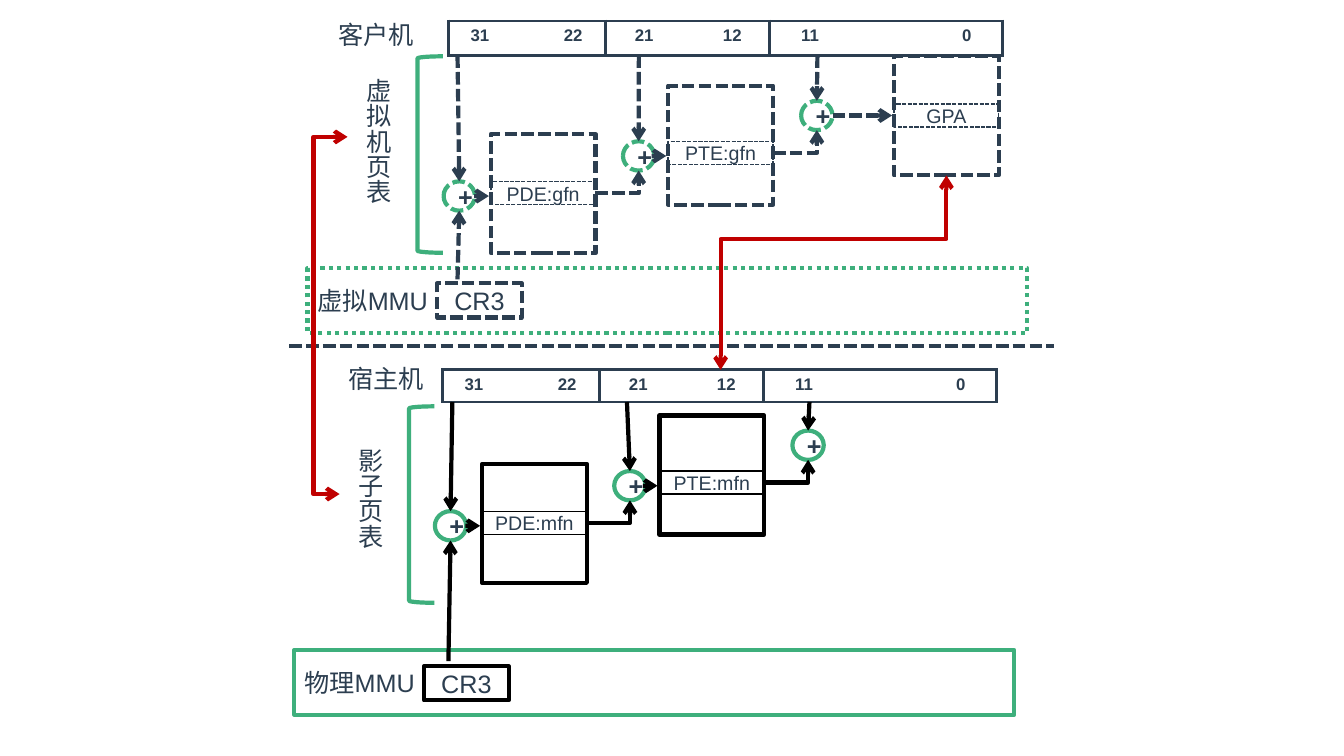
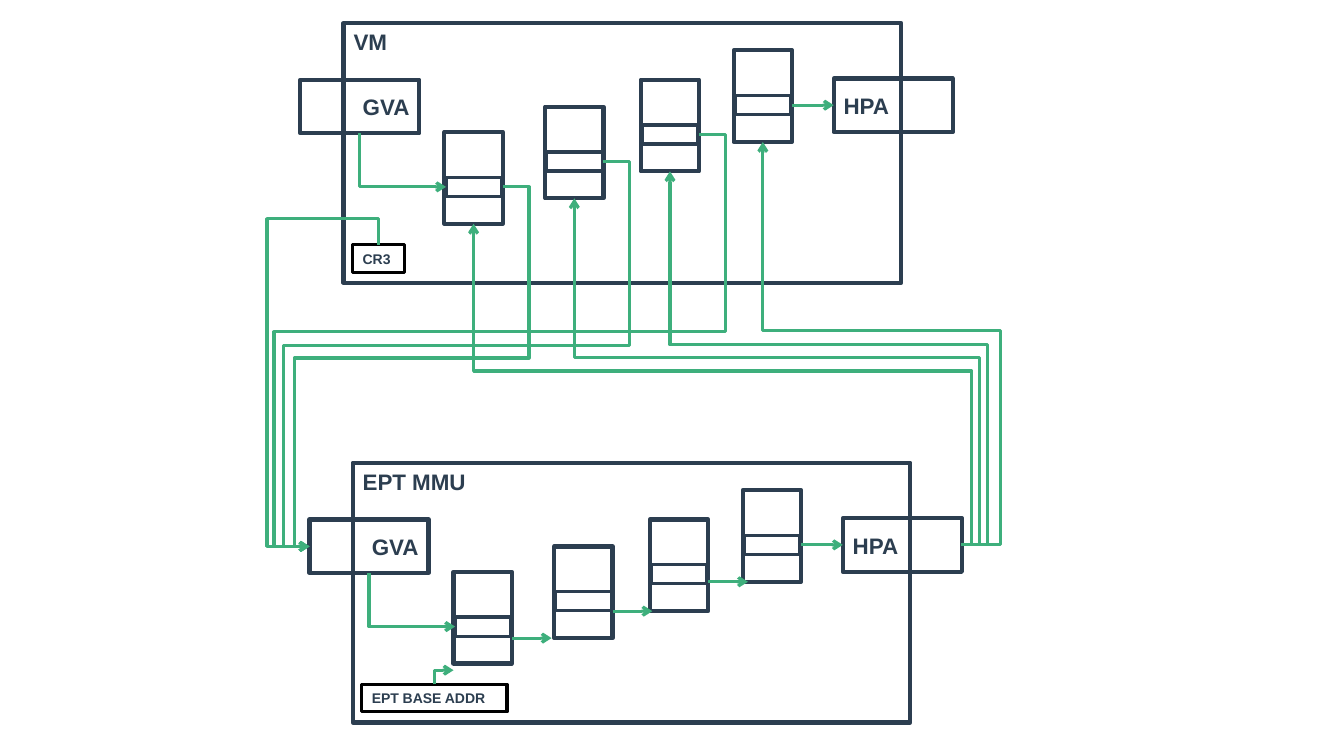
"""Build two diagrams of memory virtualisation: shadow page tables and EPT."""
from lxml.etree import SubElement
from pptx import Presentation
from pptx.dml.color import RGBColor
from pptx.enum.dml import MSO_LINE
from pptx.enum.shapes import MSO_CONNECTOR, MSO_SHAPE
from pptx.enum.text import MSO_ANCHOR, MSO_AUTO_SIZE, PP_ALIGN
from pptx.oxml.ns import qn
from pptx.util import Cm, Pt

INK, GREEN, RED, BLACK = "2C3E50", "3EAF7C", "C00000", "000000"
FONT = "Arial"
DASH, DOT = MSO_LINE.SQUARE_DOT, MSO_LINE.ROUND_DOT
LEFT, CENTER, RIGHT = PP_ALIGN.LEFT, PP_ALIGN.CENTER, PP_ALIGN.RIGHT

BAR_COLUMNS = [
    (3.96, "31\t22", 0.56, 2.82),
    (4.14, "21\t12", 0.74, 2.69),
    (5.87, "11\t0", 0.79, 4.29),
]
PAGE_SIZE, ENTRY_HEIGHT = (2.64, 3.0), 0.58
ADDER_SIZE = (0.79, 0.74)
ADDERS = [(11.18, 4.57), (15.7, 3.56), (20.19, 2.54)]
PAGES = [(12.37, 3.38, 1.2), (16.84, 2.16, 1.4), (22.53, 1.42, 1.2)]
LEVELS = [
    dict(shift=(0, 0), color=INK, dash=DASH, frame_dash=DOT,
         entries=["PDE:gfn", "PTE:gfn", "GPA"],
         name=("客户机", 8.28, 0.36), table=("虚拟机页表", 8.76, 1.73, 3.43),
         bar=(11.3, 0.53, 0.86), drops=[11.53, 16.1, 20.6],
         bracket=(10.52, 1.42), mmu=("虚拟MMU", 7.75, 6.76),
         register=(11.02, 7.14), register_start=(11.53, 7.04)),
    dict(shift=(-0.22, 8.31), color=BLACK, dash=None, frame_dash=None,
         entries=["PDE:mfn", "PTE:mfn"],
         name=("宿主机", 8.53, 9.02), table=("影子页表", 8.56, 11.05, 2.79),
         bar=(11.15, 9.32, 0.81), drops=[11.4, 15.8, 20.4],
         bracket=(10.31, 10.24), mmu=("物理MMU", 7.42, 16.38),
         register=(10.69, 16.79), register_start=(11.3, 16.66)),
]
DIVIDER = [(7.29, 8.71), (26.57, 8.71)]
LINKS = [
    [(8.76, 3.45), (7.9, 3.45), (7.9, 12.45), (8.56, 12.45)],
    [(23.85, 4.42), (23.85, 6.02), (18.16, 6.02), (18.16, 9.32)],
]

PANELS = [
    ("EPT MMU", "EPT BASE ADDR", 3.66, (0.23, 11.08)),
    ("VM", "CR3", 1.3, (0, 0)),
]
WALK_SIZE = (1.47, 2.31)
WALK_TABLES = [(11.2, 3.33), (13.74, 2.69), (16.15, 2.01), (18.49, 1.27)]
SLOT_MIDDLE = 1.38
BASE_ROUTE = [(10.95, 17.25), (10.95, 16.89), (11.43, 16.89)]
CR3_ROUTE = [(9.53, 6.17), (9.53, 5.51), (6.73, 5.51), (6.73, 13.77)]
EPT_INPUT, EPT_OUTPUT = (7.8, 13.77), (24.23, 13.72)
INPUT_LANES = [(7.42, 9.02), (7.14, 8.71), (6.91, 8.36)]
OUTPUT_LANES = [(24.49, 9.35), (24.69, 9.02), (24.89, 8.69), (25.22, 8.33)]


def rgb(color):
    return RGBColor.from_string(color)


def style_line(line, color, width, dash):
    line.color.rgb = rgb(color)
    line.width = Pt(width)
    if dash:
        line.dash_style = dash


def write(frame, text, size, bold=False, align=LEFT):
    frame.text = text
    para = frame.paragraphs[0]
    para.alignment = align
    for span in para.runs:
        span.font.name = FONT
        span.font.size = Pt(size)
        span.font.bold = bold
        span.font.color.rgb = rgb(INK)


def add_box(page, place, color=INK, width=3, dash=None, text="", size=18, bold=False,
            align=CENTER, anchor=MSO_ANCHOR.MIDDLE, kind=MSO_SHAPE.RECTANGLE):
    box = page.shapes.add_shape(kind, *map(Cm, place))
    box.shadow.inherit = False
    box.fill.background()
    style_line(box.line, color, width, dash)
    if text:
        box.text_frame.vertical_anchor = anchor
        write(box.text_frame, text, size, bold, align)


def add_label(page, text, place, vertical=False):
    frame = page.shapes.add_textbox(*map(Cm, place)).text_frame
    frame.word_wrap = False
    frame.auto_size = MSO_AUTO_SIZE.SHAPE_TO_FIT_TEXT
    write(frame, text, 18)
    if vertical:
        frame._txBody.bodyPr.set("vert", "eaVert")


def add_route(page, points, color, width=3, dash=None, ends=("tailEnd",)):
    """Draw a straight or right-angled connector through the points, in cm."""
    (x0, y0), (x1, y1) = points[0], points[-1]
    segments = len(points) - 1
    turned = segments > 1 and points[1][0] == x0
    if turned:
        mid_x, mid_y = (x0 + x1) / 2, (y0 + y1) / 2
        points = [(mid_x + y - mid_y, mid_y + mid_x - x) for x, y in points]
    begin, end = points[0], points[-1]
    kind = MSO_CONNECTOR.ELBOW if segments > 1 else MSO_CONNECTOR.STRAIGHT
    route = page.shapes.add_connector(kind, *map(Cm, begin + end))
    if turned:
        route.rotation = 90
    style_line(route.line, color, width, dash)
    properties = route._element.spPr
    if segments > 1:
        geometry = properties.find(qn("a:prstGeom"))
        geometry.set("prst", f"bentConnector{segments}")
        guides = geometry.find(qn("a:avLst"))
        for index, point in enumerate(points[1:segments - 1]):
            axis = index % 2
            ratio = (point[axis] - begin[axis]) / (end[axis] - begin[axis])
            SubElement(guides, qn("a:gd"), name=f"adj{index + 1}",
                       fmla=f"val {round(ratio * 100000)}")
    for tag in ends:
        SubElement(properties.find(qn("a:ln")), qn(f"a:{tag}"), type="arrow")
    SubElement(properties, qn("a:effectLst"))


def add_address_bar(page, left, top, height):
    total = sum(column[0] for column in BAR_COLUMNS)
    grid = page.shapes.add_table(1, len(BAR_COLUMNS), *map(Cm, (left, top, total, height))).table
    grid.rows[0].height = Cm(height)
    for index, (width, bits, margin, stop) in enumerate(BAR_COLUMNS):
        grid.columns[index].width = Cm(width)
        cell = grid.cell(0, index)
        cell.margin_left, cell.margin_right = Cm(margin), 0
        write(cell.text_frame, bits, 12, True)
        tabs = SubElement(cell.text_frame.paragraphs[0]._p.get_or_add_pPr(), qn("a:tabLst"))
        SubElement(tabs, qn("a:tab"), pos=str(Cm(stop)), algn="r")
        properties = cell._tc.get_or_add_tcPr()
        for side in ("lnL", "lnR", "lnT", "lnB"):
            border = SubElement(properties, qn(f"a:{side}"), w=str(Pt(2.25)))
            fill = SubElement(border, qn("a:solidFill"))
            SubElement(fill, qn("a:srgbClr"), val=INK)
        cell.fill.background()


def draw_level(page, level):
    """Draw one address translation, for the guest or for the host."""
    dx, dy = level["shift"]
    color, dash = level["color"], level["dash"]
    stroke = dict(color=color, dash=dash)
    name, left, top = level["name"]
    add_label(page, name, (left, top, 2.41, 1.02))
    name, left, top, height = level["table"]
    add_label(page, name, (left, top, 1.27, height), vertical=True)
    name, left, top = level["mmu"]
    add_box(page, (left, top, 18.14, 1.63), GREEN, dash=level["frame_dash"], text=name, align=LEFT)
    add_box(page, (*level["register"], 2.13, 0.86), text="CR3", **stroke)
    add_box(page, (*level["bracket"], 0.64, 4.95), GREEN, kind=MSO_SHAPE.LEFT_BRACKET)
    add_address_bar(page, *level["bar"])

    bar_bottom = level["bar"][1] + level["bar"][2]
    adders = [(x + dx, y + dy) for x, y in ADDERS]
    pages = [(x + dx, y + dy, drop) for x, y, drop in PAGES]
    adder_width, adder_height = ADDER_SIZE
    for (left, top), start in zip(adders, level["drops"]):
        add_box(page, (left, top, *ADDER_SIZE), GREEN, dash=dash, text="+", bold=True,
                kind=MSO_SHAPE.OVAL)
        add_route(page, [(start, bar_bottom), (left + adder_width / 2, top)], **stroke)
    for index, (entry, (left, top, drop)) in enumerate(zip(level["entries"], pages)):
        add_box(page, (left, top, *PAGE_SIZE), **stroke)
        add_box(page, (left, top + drop, PAGE_SIZE[0], ENTRY_HEIGHT), width=1, text=entry,
                size=14, **stroke)
        adder_left, adder_top = adders[index]
        middle = adder_top + adder_height / 2
        add_route(page, [(adder_left + adder_width, middle), (left - 0.05, middle)], **stroke)
        if index + 1 < len(adders):
            next_left, next_top = adders[index + 1]
            center = next_left + adder_width / 2
            exit_y = top + drop + ENTRY_HEIGHT / 2
            add_route(page, [(left + PAGE_SIZE[0], exit_y), (center, exit_y),
                             (center, next_top + adder_height)], **stroke)
    first_left, first_top = adders[0]
    add_route(page, [level["register_start"],
                     (first_left + adder_width / 2, first_top + adder_height)], **stroke)


def draw_shadow_slide(page):
    add_route(page, DIVIDER, INK, dash=DASH, ends=())
    for level in LEVELS:
        draw_level(page, level)
    for points in LINKS:
        add_route(page, points, RED, ends=("headEnd", "tailEnd"))


def draw_panel(page, title, register, register_width, shift):
    """Draw one page walk with its input, tables and output."""
    dx, dy = shift
    heading = dict(size=16, bold=True)
    add_box(page, (8.66 + dx, 0.58 + dy, 14.05, 6.55), text=title, align=LEFT,
            anchor=MSO_ANCHOR.TOP, **heading)
    add_box(page, (7.57 + dx, 2.01 + dy, 3, 1.35), text="GVA", align=RIGHT, **heading)
    add_box(page, (21.01 + dx, 1.98 + dy, 3, 1.35), text="HPA", align=LEFT, **heading)
    add_box(page, (8.89 + dx, 6.17 + dy, register_width, 0.69), BLACK, 2.25, text=register,
            size=10, bold=True, align=LEFT)
    tables = [(x + dx, y + dy) for x, y in WALK_TABLES]
    for left, top in tables:
        add_box(page, (left, top, *WALK_SIZE))
        add_box(page, (left + 0.04, top + 1.14, 1.4, 0.48), width=2.25)
    (first_left, first_top), (last_left, last_top) = tables[0], tables[-1]
    entry_y, exit_y = first_top + SLOT_MIDDLE, last_top + SLOT_MIDDLE
    add_route(page, [(9.07 + dx, 3.36 + dy), (9.07 + dx, entry_y), (first_left + 0.04, entry_y)],
              GREEN, 2.25)
    add_route(page, [(last_left + WALK_SIZE[0], exit_y), (21.01 + dx, exit_y)], GREEN, 2.25)
    return tables


def draw_ept_slide(page):
    ept_tables, vm_tables = [draw_panel(page, *panel) for panel in PANELS]
    width, height = WALK_SIZE
    routes = [BASE_ROUTE, CR3_ROUTE + [EPT_INPUT]]
    for (left, _), (_, next_top) in zip(ept_tables, ept_tables[1:]):
        start, bottom = left + width, next_top + height
        routes.append([(start, bottom), (start + 1, bottom)])
    for (left, top), (lane_x, lane_y) in zip(vm_tables, INPUT_LANES):
        start, middle = left + width, top + SLOT_MIDDLE
        turn = start + 0.66
        routes.append([(start, middle), (turn, middle), (turn, lane_y), (lane_x, lane_y),
                       (lane_x, EPT_INPUT[1]), EPT_INPUT])
    for (left, top), (lane_x, lane_y) in zip(vm_tables, OUTPUT_LANES):
        center = left + width / 2
        routes.append([EPT_OUTPUT, (lane_x, EPT_OUTPUT[1]), (lane_x, lane_y),
                       (center, lane_y), (center, top + height)])
    for points in routes:
        add_route(page, points, GREEN, 2.25)


def main():
    deck = Presentation()
    deck.slide_width, deck.slide_height = Cm(33.87), Cm(19.05)
    for draw in (draw_shadow_slide, draw_ept_slide):
        draw(deck.slides.add_slide(deck.slide_layouts[6]))
    deck.save("out.pptx")


if __name__ == "__main__":
    main()
